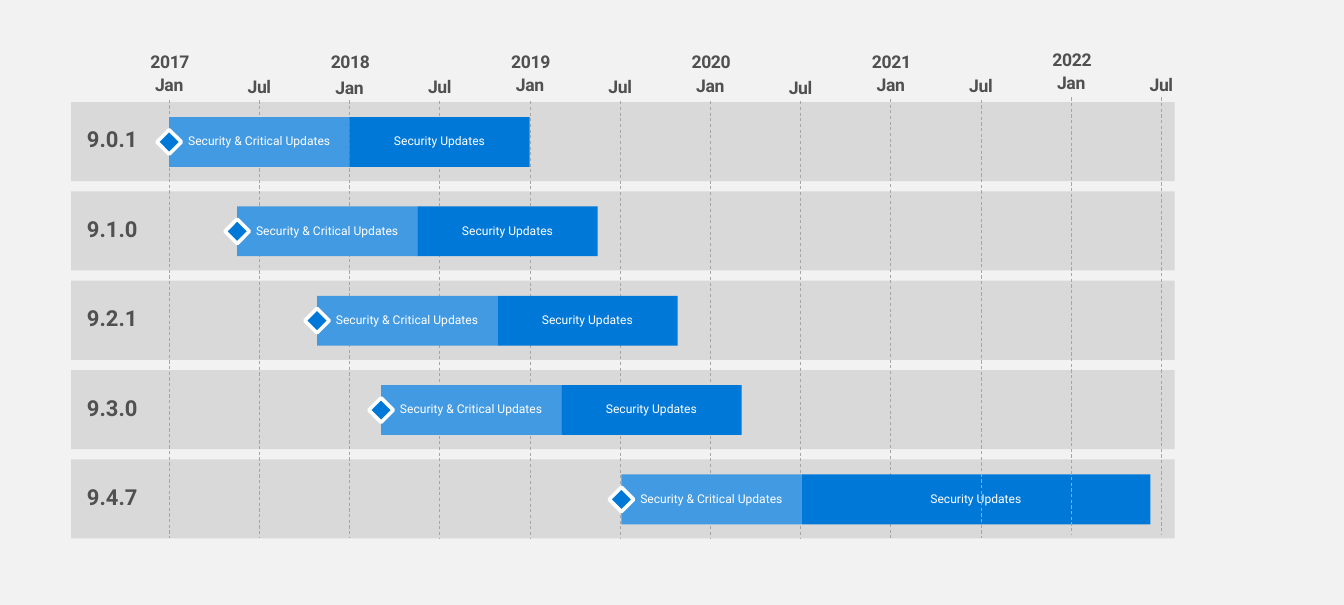
import pptx
import pptx.dml.color
import pptx.enum.dml
import pptx.enum.shapes
import pptx.enum.text
import pptx.oxml.ns
import pptx.util
from lxml import etree

Inches = pptx.util.Inches
Pt = pptx.util.Pt
Shape = pptx.enum.shapes.MSO_SHAPE
Align = pptx.enum.text.PP_ALIGN
Anchor = pptx.enum.text.MSO_ANCHOR

COLORS = {
    "background": "F2F2F2",
    "band": "D9D9D9",
    "label": "505050",
    "guide": "A6A6A6",
    "critical": "429AE2",
    "security": "0078D7",
    "white": "FFFFFF",
}
FONT = "Roboto"

# Month, top of its label, top of its guide line
MONTHS = [
    ("Jan", 0.85, 1.26), ("Jul", 0.87, 1.27),
    ("Jan", 0.88, 1.27), ("Jul", 0.87, 1.28),
    ("Jan", 0.85, 1.28), ("Jul", 0.87, 1.28),
    ("Jan", 0.86, 1.28), ("Jul", 0.88, 1.28),
    ("Jan", 0.84, 1.25), ("Jul", 0.86, 1.26),
    ("Jan", 0.82, 1.23), ("Jul", 0.84, 1.23),
]
# Year, top of its label
YEARS = [("2017", 0.55), ("2018", 0.55), ("2019", 0.55),
         ("2020", 0.55), ("2021", 0.55), ("2022", 0.53)]
# Version, left edge of its first bar, width of its security bar
VERSIONS = [
    ("9.0.1", 2.14, 2.28),
    ("9.1.0", 3.00, 2.28),
    ("9.2.1", 4.01, 2.28),
    ("9.3.0", 4.82, 2.28),
    ("9.4.7", 7.86, 4.41),
]

AXIS_LEFT, AXIS_RIGHT = 2.14, 14.69
HALF_YEAR = (AXIS_RIGHT - AXIS_LEFT) / (len(MONTHS) - 1)
FIRST_FRONT_GUIDE = 9  # guides from here on cross over the bars
DATE_WIDTH, DATE_HEIGHT = 1.45, 0.49
BAND_LEFT, BAND_TOP, BAND_WIDTH, BAND_HEIGHT = 0.9, 1.29, 13.96, 1
BAND_STEP = 1.13
BAR_INSET, BAR_HEIGHT, CRITICAL_WIDTH = 0.19, 0.63, 2.28
DIAMOND = 0.31


def rgb(name):
    return pptx.dml.color.RGBColor.from_string(COLORS[name])


def write_text(shape, text, *, size, color, bold=False, align=Align.LEFT,
               anchor=Anchor.TOP, margins=(0.2, 0.16), before=0, after=0,
               tracking=None):
    """Format the shape's text; tracking is in hundredths of a point."""
    frame = shape.text_frame
    frame.word_wrap = True
    frame.vertical_anchor = anchor
    frame.margin_left = frame.margin_right = Inches(margins[0])
    frame.margin_top = frame.margin_bottom = Inches(margins[1])
    paragraph = frame.paragraphs[0]
    paragraph.alignment = align
    paragraph.line_spacing = 0.9
    paragraph.space_before = Pt(before)
    paragraph.space_after = Pt(after)
    run = paragraph.add_run()
    run.text = text
    run.font.name = FONT
    run.font.size = Pt(size)
    run.font.bold = bold
    run.font.color.rgb = rgb(color)
    if tracking is not None:
        run._r.get_or_add_rPr().set("spc", str(tracking))


def add_text_box(slide, text, left, top, width, height, **text_format):
    box = slide.shapes.add_textbox(Inches(left), Inches(top), Inches(width), Inches(height))
    write_text(box, text, **text_format)
    box.text_frame.auto_size = pptx.enum.text.MSO_AUTO_SIZE.SHAPE_TO_FIT_TEXT


def add_block(shapes, kind, left, top, width, height, fill):
    shape = shapes.add_shape(kind, Inches(left), Inches(top), Inches(width), Inches(height))
    shape.shadow.inherit = False
    shape.fill.solid()
    shape.fill.fore_color.rgb = rgb(fill)
    shape.line.fill.background()
    return shape


def add_guide(slide, index):
    x = Inches(AXIS_LEFT + index * HALF_YEAR)
    bottom = 6.8 if index < 10 else 6.77
    guide = slide.shapes.add_connector(
        pptx.enum.shapes.MSO_CONNECTOR.STRAIGHT, x, Inches(MONTHS[index][2]), x, Inches(bottom))
    guide.line.color.rgb = rgb("guide")
    guide.line.width = Pt(0.75)
    guide.line.dash_style = pptx.enum.dml.MSO_LINE.DASH
    etree.SubElement(guide._element.spPr, pptx.oxml.ns.qn("a:effectLst"))


def add_date(slide, text, center, top):
    add_text_box(slide, text, center - DATE_WIDTH / 2, top, DATE_WIDTH, DATE_HEIGHT,
                 size=16, color="label", bold=True, align=Align.CENTER,
                 margins=(0.16, 0.12), before=6.2, tracking=-30)


def add_support_period(slide, start, top, security_width):
    """Group the two support bars with the release diamond at their start."""
    shapes = slide.shapes.add_group_shape().shapes
    bars = [
        ("Security & Critical Updates", start, CRITICAL_WIDTH, "critical"),
        ("Security Updates", start + CRITICAL_WIDTH, security_width, "security"),
    ]
    for text, left, width, fill in bars:
        bar = add_block(shapes, Shape.RECTANGLE, left, top, width, BAR_HEIGHT, fill)
        write_text(bar, text, size=11, color="white", align=Align.CENTER, anchor=Anchor.MIDDLE)
    diamond = add_block(shapes, Shape.DIAMOND, start - DIAMOND / 2,
                        top + (BAR_HEIGHT - DIAMOND) / 2, DIAMOND, DIAMOND, "security")
    diamond.line.color.rgb = rgb("white")
    diamond.line.width = Pt(3.25)


def main():
    presentation = pptx.Presentation()
    presentation.slide_width = Inches(17)
    presentation.slide_height = Inches(7.65)
    slide = presentation.slides.add_slide(presentation.slide_layouts[6])
    slide.background.fill.solid()
    slide.background.fill.fore_color.rgb = rgb("background")

    band_tops = [BAND_TOP + row * BAND_STEP for row in range(len(VERSIONS))]
    for top in band_tops:
        add_block(slide.shapes, Shape.RECTANGLE, BAND_LEFT, top, BAND_WIDTH, BAND_HEIGHT, "band")

    for index, (month, top, _) in enumerate(MONTHS):
        add_date(slide, month, AXIS_LEFT + index * HALF_YEAR, top)
    for index, (year, top) in enumerate(YEARS):
        add_date(slide, year, AXIS_LEFT + 2 * index * HALF_YEAR + 0.01, top)

    for index in range(FIRST_FRONT_GUIDE):
        add_guide(slide, index)
    for (version, start, security_width), band_top in zip(VERSIONS, band_tops):
        top = band_top + BAR_INSET
        add_text_box(slide, version, BAND_LEFT, top, 1.58, BAR_HEIGHT,
                     size=20, color="label", bold=True, after=6)
        add_support_period(slide, start, top, security_width)
    for index in range(FIRST_FRONT_GUIDE, len(MONTHS)):
        add_guide(slide, index)

    presentation.save("out.pptx")


if __name__ == "__main__":
    main()
